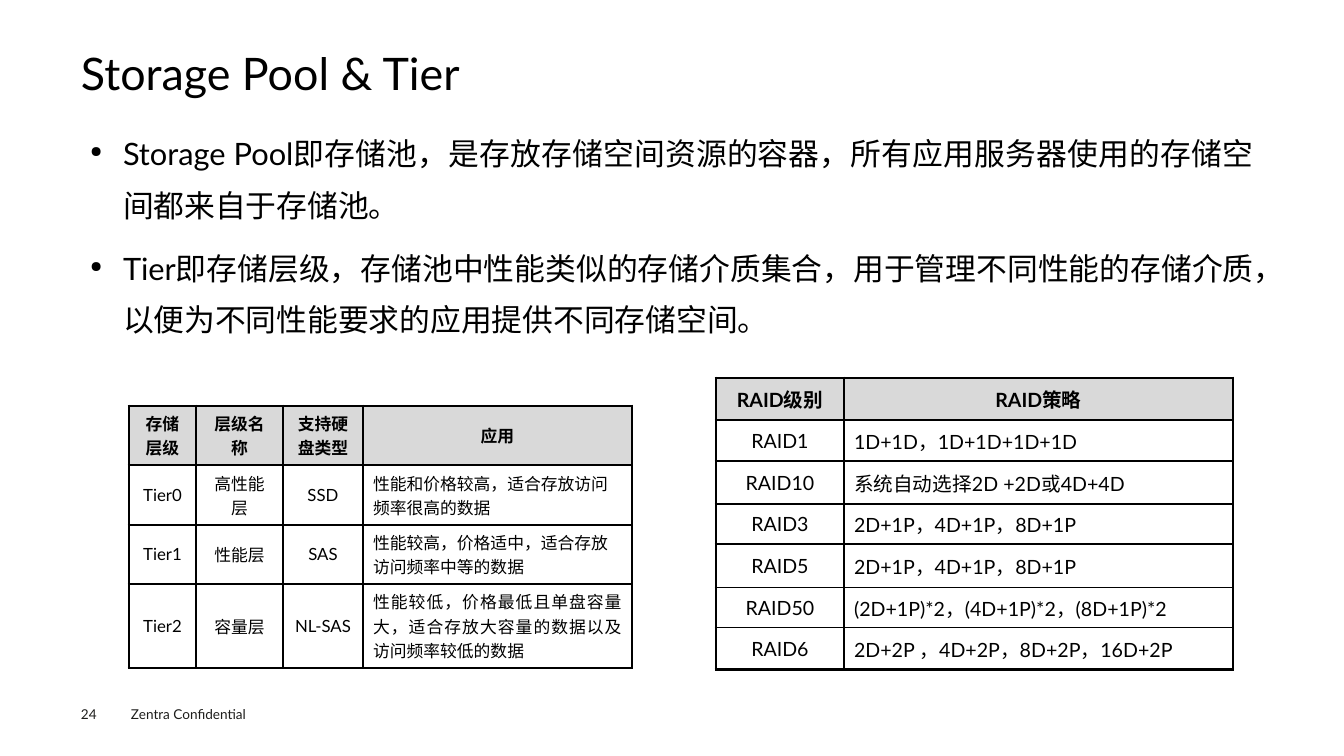
from lxml import etree
from pptx import Presentation
from pptx.dml.color import RGBColor
from pptx.enum.lang import MSO_LANGUAGE_ID as LANG
from pptx.enum.text import MSO_ANCHOR as ANCHOR, PP_ALIGN as ALIGN
from pptx.oxml.ns import qn
from pptx.util import Emu, Pt

EMU_PER_PX = 914400 / 100.8
FONT = "Lato"
COLORS = {"text": "000000", "footer": "1D1D1B", "header": "D9D9D9", "border": "000000"}
THICK, THIN = 2.25, 1

POINTS = [
    "Storage Pool即存储池，是存放存储空间资源的容器，所有应用服务器使用的存储空间都来自于存储池。",
    "Tier即存储层级，存储池中性能类似的存储介质集合，用于管理不同性能的存储介质，以便为不同性能要求的应用提供不同存储空间。",
]
TIERS = [
    ["存储层级", "层级名称", "支持硬盘类型", "应用"],
    ["Tier0", "高性能层", "SSD", "性能和价格较高，适合存放访问频率很高的数据"],
    ["Tier1", "性能层", "SAS", "性能较高，价格适中，适合存放访问频率中等的数据"],
    ["Tier2", "容量层", "NL-SAS",
     "性能较低，价格最低且单盘容量大，适合存放大容量的数据以及访问频率较低的数据"],
]
RAID = [
    ["RAID级别", "RAID策略"],
    ["RAID1", "1D+1D，1D+1D+1D+1D"],
    ["RAID10", "系统自动选择2D +2D或4D+4D"],
    ["RAID3", "2D+1P，4D+1P，8D+1P"],
    ["RAID5", "2D+1P，4D+1P，8D+1P"],
    ["RAID50", "(2D+1P)*2，(4D+1P)*2，(8D+1P)*2"],
    ["RAID6", "2D+2P ，4D+2P，8D+2P，16D+2P"],
]


def px(n):
    return Emu(round(n * EMU_PER_PX))


def rgb(name):
    return RGBColor.from_string(COLORS[name])


def add_run(p, text, size, color="text", bold=False):
    r = p.add_run()
    r.text = text
    r.font.size = Pt(size)
    r.font.name = FONT
    r.font.bold = bold
    r.font.color.rgb = rgb(color)
    r.font.language_id = LANG.SIMPLIFIED_CHINESE


def add_box(slide, x, y, w, h, inset=(0, 0), anchor=ANCHOR.TOP):
    tf = slide.shapes.add_textbox(px(x), px(y), px(w), px(h)).text_frame
    tf.word_wrap = True
    tf.vertical_anchor = anchor
    tf.margin_left = tf.margin_right = px(inset[0])
    tf.margin_top = tf.margin_bottom = px(inset[1])
    return tf


def add_line(slide, text, size, color, *place, spacing=None, **options):
    """Add a text box that holds a single line."""
    p = add_box(slide, *place, **options).paragraphs[0]
    p.line_spacing = spacing
    add_run(p, text, size, color)


def set_bullet(p, indent):
    pPr = p._p.get_or_add_pPr()
    pPr.set("marL", str(px(indent)))
    pPr.set("indent", str(-px(indent)))
    etree.SubElement(pPr, qn("a:buSzPct")).set("val", "50000")
    etree.SubElement(pPr, qn("a:buChar")).set("char", "●")


def add_bullets(slide, points, *place):
    tf = add_box(slide, *place, inset=(9, 4))
    for i, point in enumerate(points):
        p = tf.add_paragraph() if i else tf.paragraphs[0]
        p.alignment = ALIGN.JUSTIFY
        p.line_spacing = 1.4
        p.space_before = Pt(7.9)
        set_bullet(p, 33)
        add_run(p, point, 22)


def set_borders(cell, widths):
    """Draw the left, right, top and bottom borders, with widths in points."""
    tcPr = cell._tc.get_or_add_tcPr()
    for side, width in zip("LRTB", widths):
        ln = etree.SubElement(tcPr, qn(f"a:ln{side}"), w=str(Pt(width)))
        fill = etree.SubElement(ln, qn("a:solidFill"))
        etree.SubElement(fill, qn("a:srgbClr"), val=COLORS["border"])


def add_grid(slide, rows, x, y, widths, heights, size, gap, last_align=ALIGN.LEFT):
    """Add a framed table; last_align is for the bottom right cell."""
    table = slide.shapes.add_table(len(rows), len(widths), px(x), px(y),
                                   px(sum(widths)), px(sum(heights))).table
    table.horz_banding = table.first_row = False
    for column, width in zip(table.columns, widths):
        column.width = px(width)
    for row, height in zip(table.rows, heights):
        row.height = px(height)

    bottom, right = len(rows) - 1, len(widths) - 1
    for i, row in enumerate(rows):
        for j, text in enumerate(row):
            cell = table.cell(i, j)
            edges = (j == 0, j == right, i == 0, i == bottom)
            set_borders(cell, [THICK if edge else THIN for edge in edges])
            if i == 0:
                cell.fill.solid()
                cell.fill.fore_color.rgb = rgb("header")
            else:
                cell.fill.background()
            cell.vertical_anchor = ANCHOR.MIDDLE
            p = cell.text_frame.paragraphs[0]
            if i == 0 or j < right:
                p.alignment = ALIGN.CENTER
            else:
                p.alignment = last_align if i == bottom else ALIGN.LEFT
            p.space_before = p.space_after = Pt(gap)
            add_run(p, text, size, bold=i == 0)


def main():
    prs = Presentation()
    prs.slide_width, prs.slide_height = px(1344), px(756)
    slide = prs.slides.add_slide(prs.slide_layouts[6])

    add_line(slide, "Zentra Confidential", 9.7, "footer", 121, 701, 161, 27, inset=(10, 5))
    add_line(slide, "24", 9.7, "footer", 81, 706, 55, 16)
    add_line(slide, "Storage Pool & Tier", 32, "text", 81, 49, 1182, 53,
             spacing=0.9, anchor=ANCHOR.MIDDLE)
    add_bullets(slide, POINTS, 81, 116, 1182, 538)
    add_grid(slide, TIERS, 129, 406, [67, 87, 80, 269], [59, 60, 59, 84],
             size=12, gap=8, last_align=ALIGN.JUSTIFY)
    add_grid(slide, RAID, 716, 378, [128, 389], [42, 41, 43, 40, 44, 40, 42],
             size=14, gap=6)
    prs.save("out.pptx")


if __name__ == "__main__":
    main()
